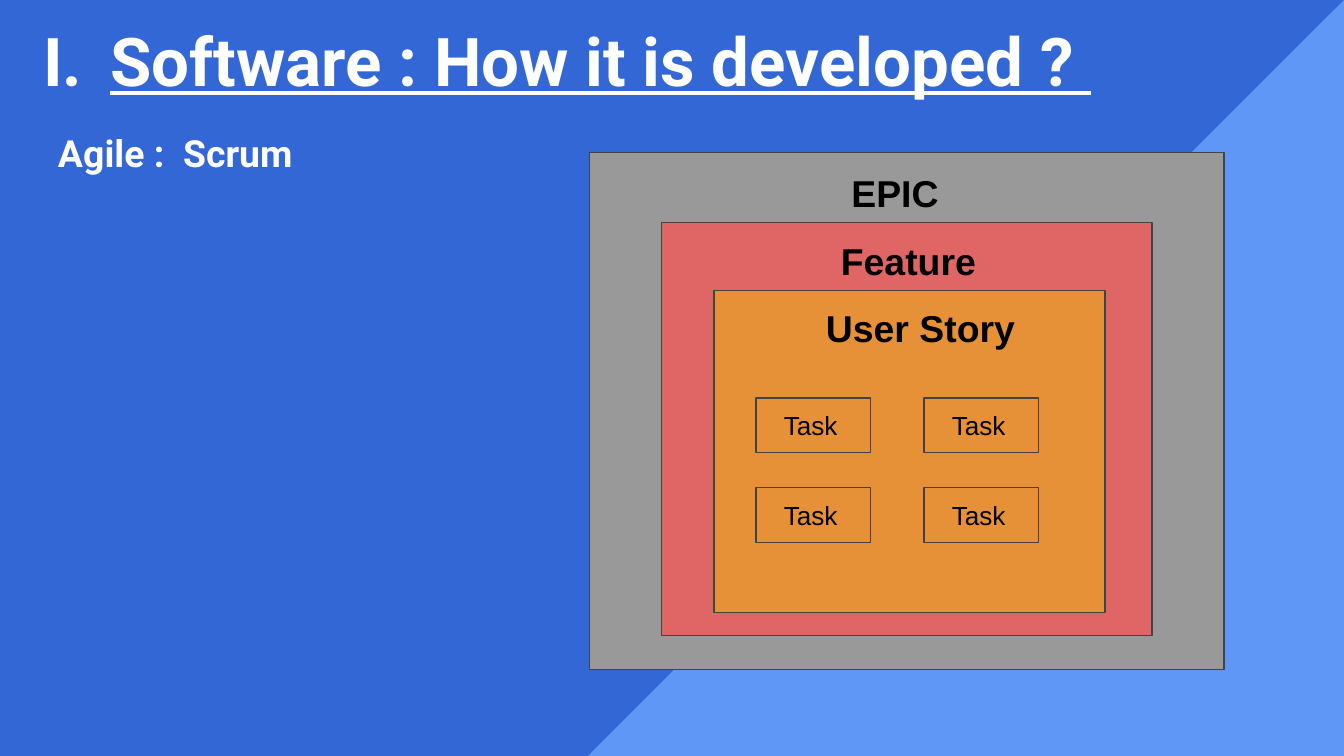
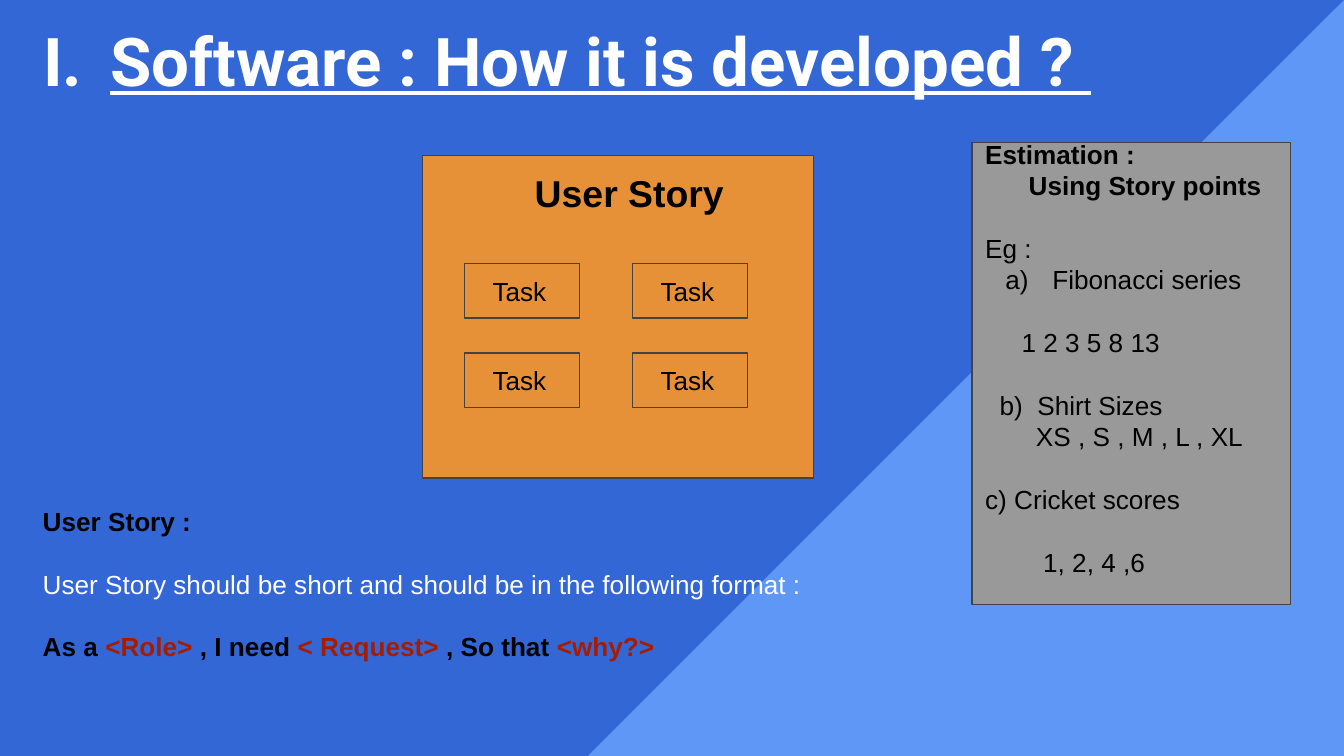
from dataclasses import dataclass
from itertools import product

from lxml import etree
from pptx import Presentation
from pptx.dml.color import RGBColor
from pptx.enum.shapes import MSO_SHAPE
from pptx.enum.text import MSO_ANCHOR, PP_ALIGN
from pptx.oxml.ns import qn
from pptx.util import Pt

RECTANGLE, TRIANGLE = MSO_SHAPE.RECTANGLE, MSO_SHAPE.RIGHT_TRIANGLE
TOP, MIDDLE = MSO_ANCHOR.TOP, MSO_ANCHOR.MIDDLE
LEFT = PP_ALIGN.LEFT

SLIDE_W, SLIDE_H = 720, 405
INSET = 7.2
BLANK_LINE = 16.8
BLUE, LIGHT_BLUE = "3367D6", "5E97F6"
GREY, RED, ORANGE = "999999", "E06666", "E69138"
OUTLINE, WHITE, BLACK, DARK_RED = "434343", "FFFFFF", "000000", "A61C00"
HEADING_FONT, BODY_FONT = "Roboto", "Arial"


@dataclass(frozen=True)
class Box:
    left: float
    top: float
    width: float
    height: float


@dataclass(frozen=True)
class Run:
    text: str
    size: float = 14
    bold: bool = False
    color: str = BLACK
    font: str = BODY_FONT
    underline: bool = False


@dataclass(frozen=True)
class Line:
    """A paragraph; text starts at margin, its first line shifted by hang."""
    runs: tuple[Run, ...]
    margin: float = 0
    hang: float = 0
    before: float = 0
    numbering: str = ""


@dataclass(frozen=True)
class Level:
    """A nested box of the backlog with its heading."""
    name: str
    box: Box
    fill: str
    label: Box
    indent: float


def rgb(color: str) -> RGBColor:
    return RGBColor.from_string(color)


def lengths(box: Box) -> tuple:
    return Pt(box.left), Pt(box.top), Pt(box.width), Pt(box.height)


def add_numbering(properties, run: Run, scheme: str) -> None:
    color = etree.SubElement(properties, qn("a:buClr"))
    etree.SubElement(color, qn("a:srgbClr"), val=run.color)
    etree.SubElement(properties, qn("a:buFont"), typeface=run.font)
    etree.SubElement(properties, qn("a:buAutoNum"), type=scheme)


def write(frame, lines: list[Line], anchor=TOP,
          top_inset: float = INSET, bottom_inset: float = INSET) -> None:
    frame.word_wrap = True
    frame.vertical_anchor = anchor
    frame.margin_left = frame.margin_right = Pt(INSET)
    frame.margin_top, frame.margin_bottom = Pt(top_inset), Pt(bottom_inset)
    for index, line in enumerate(lines):
        paragraph = frame.paragraphs[0] if index == 0 else frame.add_paragraph()
        paragraph.alignment = LEFT
        paragraph.space_before = Pt(line.before)
        properties = paragraph._p.get_or_add_pPr()
        properties.set("marL", str(Pt(line.margin)))
        properties.set("indent", str(Pt(line.hang)))
        if line.numbering:
            add_numbering(properties, line.runs[0], line.numbering)
        for part in line.runs:
            run = paragraph.add_run()
            run.text = part.text
            run.font.size = Pt(part.size)
            run.font.bold = part.bold
            run.font.underline = part.underline
            run.font.name = part.font
            run.font.color.rgb = rgb(part.color)


def add_text(slide, box: Box, lines: list[Line]) -> None:
    write(slide.shapes.add_textbox(*lengths(box)).text_frame, lines)


def add_panel(slide, box: Box, fill: str, outline: str = OUTLINE, kind=RECTANGLE):
    panel = slide.shapes.add_shape(kind, *lengths(box))
    panel.shadow.inherit = False
    panel.fill.solid()
    panel.fill.fore_color.rgb = rgb(fill)
    if outline:
        panel.line.color.rgb = rgb(outline)
        panel.line.width = Pt(0.75)
    else:
        panel.line.fill.background()
    return panel


def start_slide(deck):
    """Add a slide with the shared background and title."""
    slide = deck.slides.add_slide(deck.slide_layouts[6])
    add_panel(slide, Box(0, 0, SLIDE_W, SLIDE_H), BLUE, "")
    corner = Box(SLIDE_W - SLIDE_H, 0, SLIDE_H, SLIDE_H)
    add_panel(slide, corner, LIGHT_BLUE, "", TRIANGLE).rotation = 270
    title = Run("Software : How it is developed ? ", 36, True, WHITE,
                HEADING_FONT, True)
    add_text(slide, Box(16, 3, 676, 60),
             [Line((title,), 36, -36, numbering="romanUcPeriod")])
    return slide


def add_level(slide, level: Level) -> None:
    add_panel(slide, level.box, level.fill)
    add_text(slide, level.label,
             [Line((Run(level.name, 20, True),), level.indent)])


def add_user_story(slide, left: float, top: float) -> None:
    """Draw a user story holding a two by two grid of tasks."""
    add_level(slide, Level("User Story", Box(left, top, 209.5, 172.8), ORANGE,
                           Box(left + 14, top + 0.7, 180.7, 34.6), 38.9))
    for column, row in product(range(2), repeat=2):
        task = Box(left + 22.5 + 90 * column, top + 57.8 + 48 * row, 61.5, 29.3)
        write(add_panel(slide, task, ORANGE).text_frame,
              [Line((Run("Task"),), 7.8)], MIDDLE)


def build_scrum(deck) -> None:
    slide = start_slide(deck)
    subtitle = Run("Agile :\tScrum", 20, True, WHITE, HEADING_FONT)
    add_text(slide, Box(24, 62.6, 667.4, 309.6), [Line((subtitle,), 67, -67)])
    # Backlog levels, outermost first
    for level in (
        Level("EPIC", Box(315.8, 81.8, 340, 277), GREY,
              Box(396.7, 84.2, 145.4, 34.6), 52.3),
        Level("Feature", Box(354.4, 119.3, 262.8, 221.2), RED,
              Box(396.7, 120.2, 180.7, 34.6), 46.7),
    ):
        add_level(slide, level)
    add_user_story(slide, 382.5, 155.5)


def build_estimation(deck) -> None:
    slide = start_slide(deck)
    add_user_story(slide, 226.5, 83.3)

    # User story format
    template = (
        Run("As a ", bold=True), Run("<Role>", bold=True, color=DARK_RED),
        Run(" , I need ", bold=True), Run("< Request>", bold=True, color=DARK_RED),
        Run(" , So that ", bold=True), Run("<why?>", bold=True, color=DARK_RED),
    )
    advice = Run("User Story should be short and should be in the following format :",
                 color=WHITE)
    add_text(slide, Box(15.8, 263.5, 427.7, 94.3), [
        Line((Run("User Story :", bold=True),)),
        Line((advice,), before=BLANK_LINE),
        Line(template, before=BLANK_LINE),
    ])

    # Estimation scales
    estimation = add_panel(slide, Box(520.7, 76.3, 170.6, 247.7), GREY)
    write(estimation.text_frame, [
        Line((Run("Estimation :", bold=True),)),
        Line((Run("Using Story points", bold=True),), 23.3),
        Line((Run("Eg :"),), before=BLANK_LINE),
        Line((Run("Fibonacci series"),), 36, -25.2, numbering="alphaLcParenR"),
        Line((Run("1 2 3 5 8 13"),), 19.5, before=BLANK_LINE),
        Line((Run("b)\tShirt Sizes"),), 28, -20.2, BLANK_LINE),
        Line((Run("XS , S , M , L , XL"),), 27.2),
        Line((Run("c) Cricket scores"),), before=BLANK_LINE),
        Line((Run("1, 2, 4 ,6"),), 31.1, before=BLANK_LINE),
    ], MIDDLE, 0, BLANK_LINE)


def main() -> None:
    deck = Presentation()
    deck.slide_width, deck.slide_height = Pt(SLIDE_W), Pt(SLIDE_H)
    build_scrum(deck)
    build_estimation(deck)
    deck.save("out.pptx")


if __name__ == "__main__":
    main()
